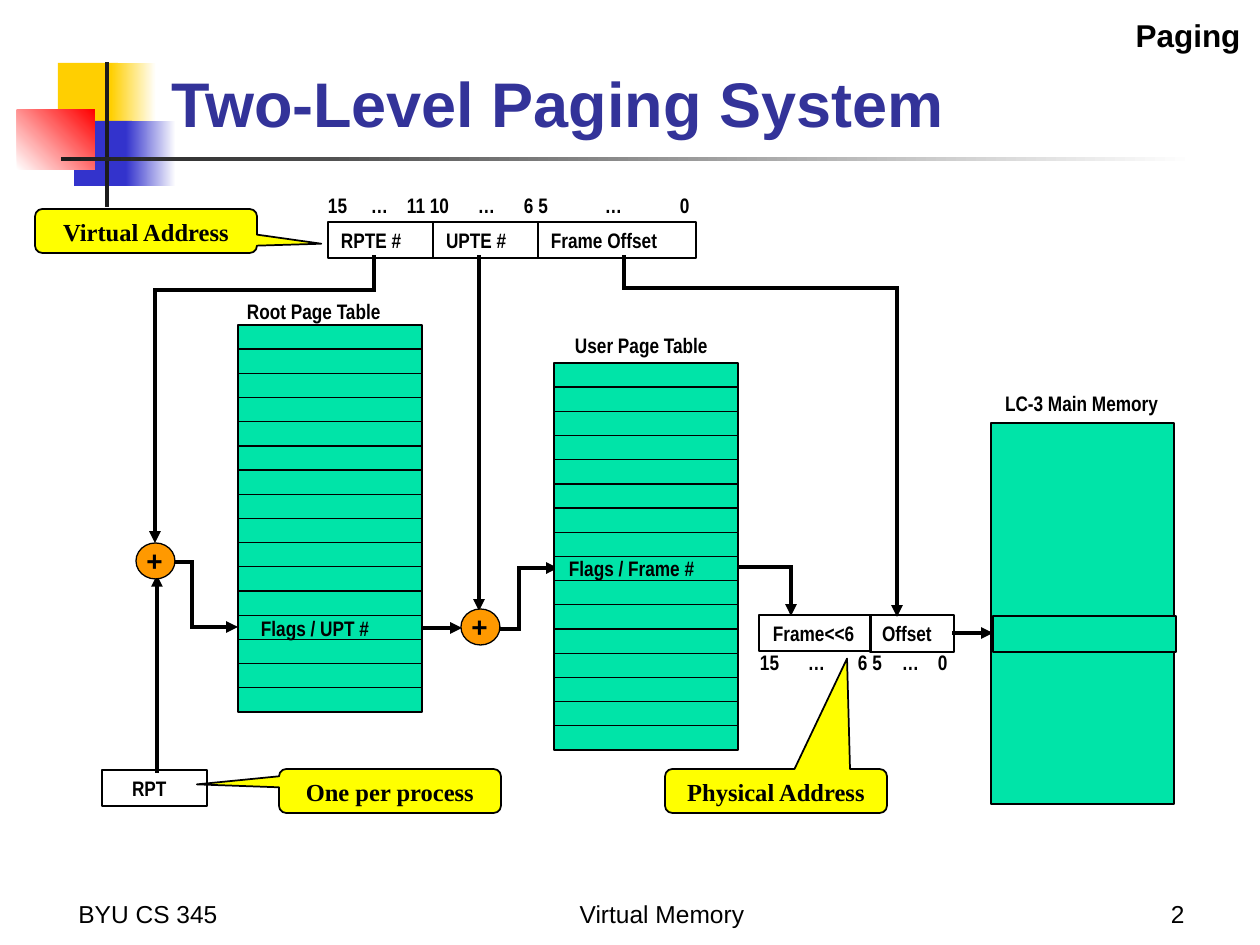
from itertools import pairwise
from lxml.etree import SubElement
from pptx import Presentation
from pptx.dml.color import RGBColor
from pptx.enum.shapes import MSO_CONNECTOR, MSO_SHAPE as SHAPE
from pptx.enum.text import MSO_ANCHOR as ANCHOR, PP_ALIGN as ALIGN
from pptx.oxml.ns import qn
from pptx.util import Pt

SCALE = 914400 / 126
COLORS = dict(black="000000", white="FFFFFF", ink="1C1C1C", gold="FFCF01", blue="3333CC",
              red="FF0000", title="333399", green="00E4A8", yellow="FFFF00", orange="FF9900")
NARROW = "Arial Narrow"
SERIF = "Times New Roman"

# Master decoration: box, fill colours, gradient angle
DECOR = [
    ((58, 63, 60, 65), ["gold"], 0),
    ((111, 63, 45, 65), ["gold", "white"], 0),
    ((74, 121, 58, 65), ["blue"], 0),
    ((126, 121, 50, 65), ["blue", "white"], 0),
    ((17, 110, 78, 60), ["white", "red"], 45),
    ((105, 62, 4, 145), ["ink"], 0),
    ((61, 157, 1134, 4), ["ink", "white"], 0),
]

# Routes: corner points, arrow at the last point
ROUTES = [
    ([(374, 257), (374, 290), (155, 290), (155, 543)], True),
    ([(479, 257), (479, 611)], True),
    ([(624, 257), (624, 288), (897, 288), (897, 617)], True),
    ([(157, 771), (157, 575)], True),
    ([(169, 562), (192, 562), (192, 627), (238, 627)], True),
    ([(422, 628), (462, 628)], True),
    ([(500, 629), (519, 629), (519, 568), (558, 568)], True),
    ([(735, 567), (791, 567), (791, 616)], True),
    ([(954, 633), (993, 633)], True),
]

# Page tables: left, top
ROWS, TABLE_W, TABLE_H = 16, 184, 387
PAGE_TABLES = [(238, 325), (554, 363)]
MEMORY = [(991, 423, 183, 381), (993, 616, 183, 36)]

# Register fields: box, label, label offset
FIELDS = [
    ((328, 222, 105, 36), "RPTE #", 13),
    ((433, 222, 105, 36), "UPTE #", 13),
    ((538, 222, 158, 36), "Frame Offset", 13),
    ((759, 615, 112, 36), "Frame<<6", 14),
    ((870, 615, 84, 37), "Offset", 12),
    ((102, 770, 105, 36), "RPT", 30),
]
LABELS = [
    ((247, 299, 171, 25), "Root Page Table"),
    ((575, 333, 171, 25), "User Page Table"),
    ((1005, 391, 158, 25), "LC-3 Main Memory"),
    ((261, 616, 146, 25), "Flags / UPT #"),
    ((569, 556, 166, 25), "Flags / Frame #"),
]
# Bit numbers: box, text, tab stops
BIT_RULERS = [
    ((328, 193, 381, 25), "15\t…\t11 10\t…\t6 5\t…\t0", [43, 79, 150, 196, 277, 352]),
    ((760, 650, 199, 25), "15\t…\t6 5\t…\t0", [48, 98, 142, 178]),
]
ADDERS = [(136, 543), (461, 609)]
CALLOUTS = [
    ((35, 209), "Virtual Address", (0.79, 0.29)),
    ((279, 769), "One per process", (-0.87, -0.15)),
    ((665, 769), "Physical Address", (0.32, -3.01)),
]
FOOTERS = [
    ((66, 872, 262, 63), "BYU CS 345", ALIGN.LEFT),
    ((462, 872, 400, 63), "Virtual Memory", ALIGN.CENTER),
    ((935, 872, 262, 63), "2", ALIGN.RIGHT),
]


def px(n):
    return round(n * SCALE)


def rgb(name):
    return RGBColor.from_string(COLORS[name])


prs = Presentation()
prs.slide_width, prs.slide_height = px(1260), px(945)
s = prs.slides.add_slide(prs.slide_layouts[6])


def shape(box, kind=SHAPE.RECTANGLE, fill=(), angle=0, line=0.75):
    sp = s.shapes.add_shape(kind, *map(px, box))
    sp.shadow.inherit = False
    if len(fill) == 2:
        sp.fill.gradient()
        sp.fill.gradient_angle = angle
        for stop, name in zip(sp.fill.gradient_stops, fill):
            stop.color.rgb = rgb(name)
    elif fill:
        sp.fill.solid()
        sp.fill.fore_color.rgb = rgb(fill[0])
    else:
        sp.fill.background()
    if line:
        sp.line.color.rgb = rgb("black")
        sp.line.width = Pt(line)
    else:
        sp.line.fill.background()
    return sp


def text(where, words, size=12, font=NARROW, color="black", bold=True, align=ALIGN.LEFT,
         anchor=ANCHOR.TOP, inset=True, tabs=()):
    """Write into a shape, or into a new text box when given a box."""
    sp = s.shapes.add_textbox(*map(px, where)) if isinstance(where, tuple) else where
    tf = sp.text_frame
    tf.word_wrap = True
    tf.vertical_anchor = anchor
    if not inset:
        tf.margin_left = tf.margin_top = tf.margin_right = tf.margin_bottom = 0
    p = tf.paragraphs[0]
    p.alignment = align
    r = p.add_run()
    r.text = words
    r.font.size, r.font.name, r.font.bold = Pt(size), font, bold
    r.font.color.rgb = rgb(color)
    if tabs:
        stops = SubElement(p._p.get_or_add_pPr(), qn("a:tabLst"))
        for pos in tabs:
            SubElement(stops, qn("a:tab"), pos=str(px(pos)), algn="l")


def segment(start, end, arrow):
    c = s.shapes.add_connector(MSO_CONNECTOR.STRAIGHT, *map(px, start + end))
    c.line.color.rgb = rgb("black")
    c.line.width = Pt(2.25)
    ln = c.line._get_or_add_ln()
    ln.set("cap", "sq")
    if arrow:
        SubElement(ln, qn("a:tailEnd"), type="triangle")
    SubElement(c._element.spPr, qn("a:effectLst"))


# Decoration, title and footers
for box, fill, angle in DECOR:
    shape(box, fill=fill, angle=angle, line=0)
text((159, 26, 1074, 120), "Two-Level Paging System", size=36, font="Arial", color="title",
     anchor=ANCHOR.BOTTOM)
text((891, 10, 362, 50), "Paging", size=18, font="Arial", align=ALIGN.RIGHT)
for box, words, align in FOOTERS:
    text(box, words, size=14, font="Arial", bold=False, align=align, anchor=ANCHOR.BOTTOM)

# Arrows
for points, arrow in ROUTES:
    for start, end in pairwise(points):
        segment(start, end, arrow and end == points[-1])

# Page tables and main memory
row_h = TABLE_H / ROWS
for left, top in PAGE_TABLES:
    for i in range(ROWS):
        shape((left, top + i * row_h, TABLE_W, row_h), fill=["green"])
for box in MEMORY:
    shape(box, fill=["green"])

# Register fields and labels
for (x, y, w, h), words, dx in FIELDS:
    shape((x, y, w, h))
    text((x + dx, y + 6, w, 25), words, inset=False)
for box, words in LABELS:
    text(box, words, inset=False)
for box, words, tabs in BIT_RULERS:
    text(box, words, inset=False, tabs=tabs)

# Adders and callouts
for x, y in ADDERS:
    shape((x, y, 39, 36), SHAPE.OVAL, ["orange"])
    text((x - 2, y - 6, 66, 47), "+", size=16, font="Arial")
for (x, y), words, tip in CALLOUTS:
    sp = shape((x, y, 222, 44), SHAPE.ROUNDED_RECTANGULAR_CALLOUT, ["yellow"], line=1)
    sp.adjustments[0], sp.adjustments[1] = tip
    text(sp, words, size=14, font=SERIF, align=ALIGN.CENTER)

prs.save("out.pptx")
